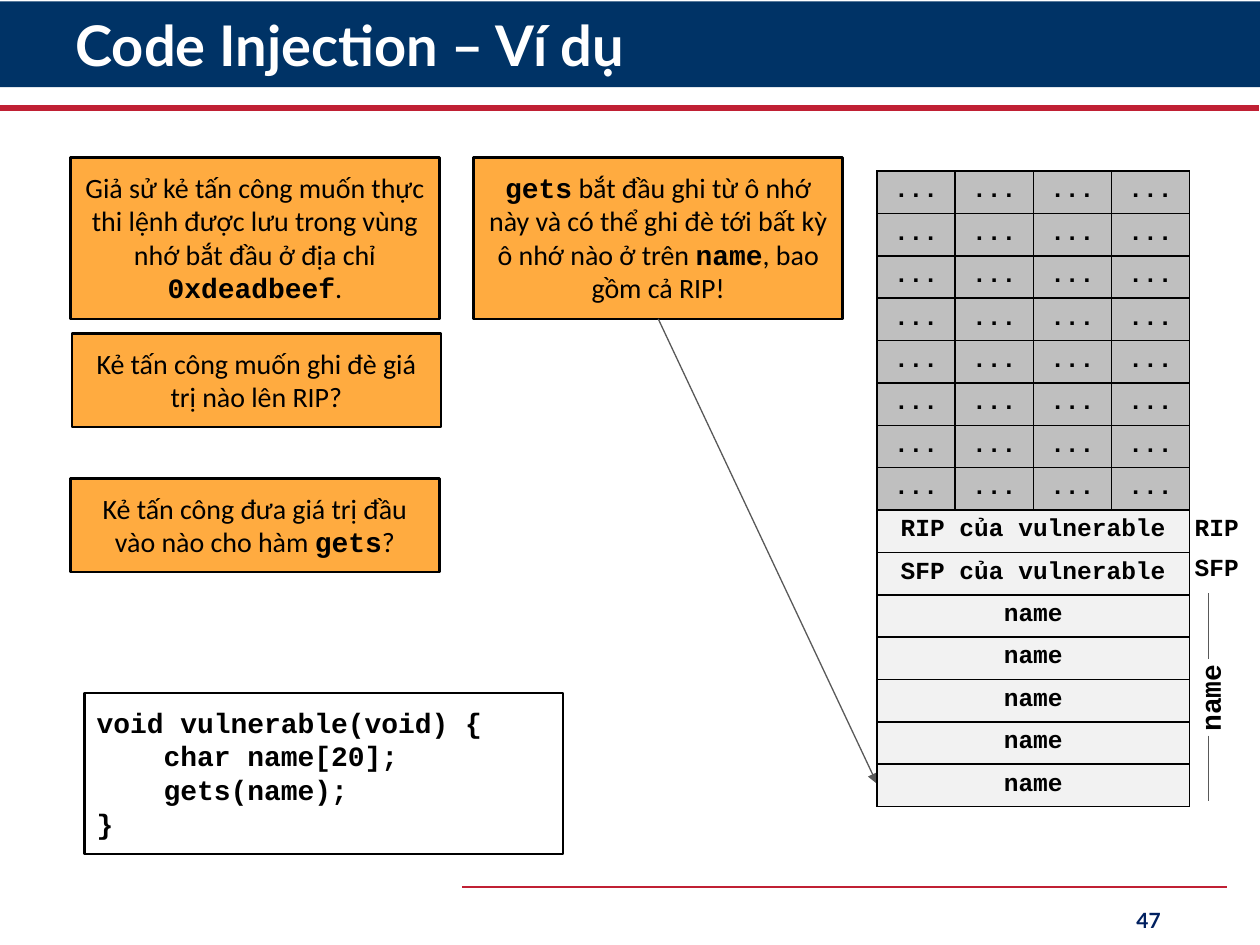
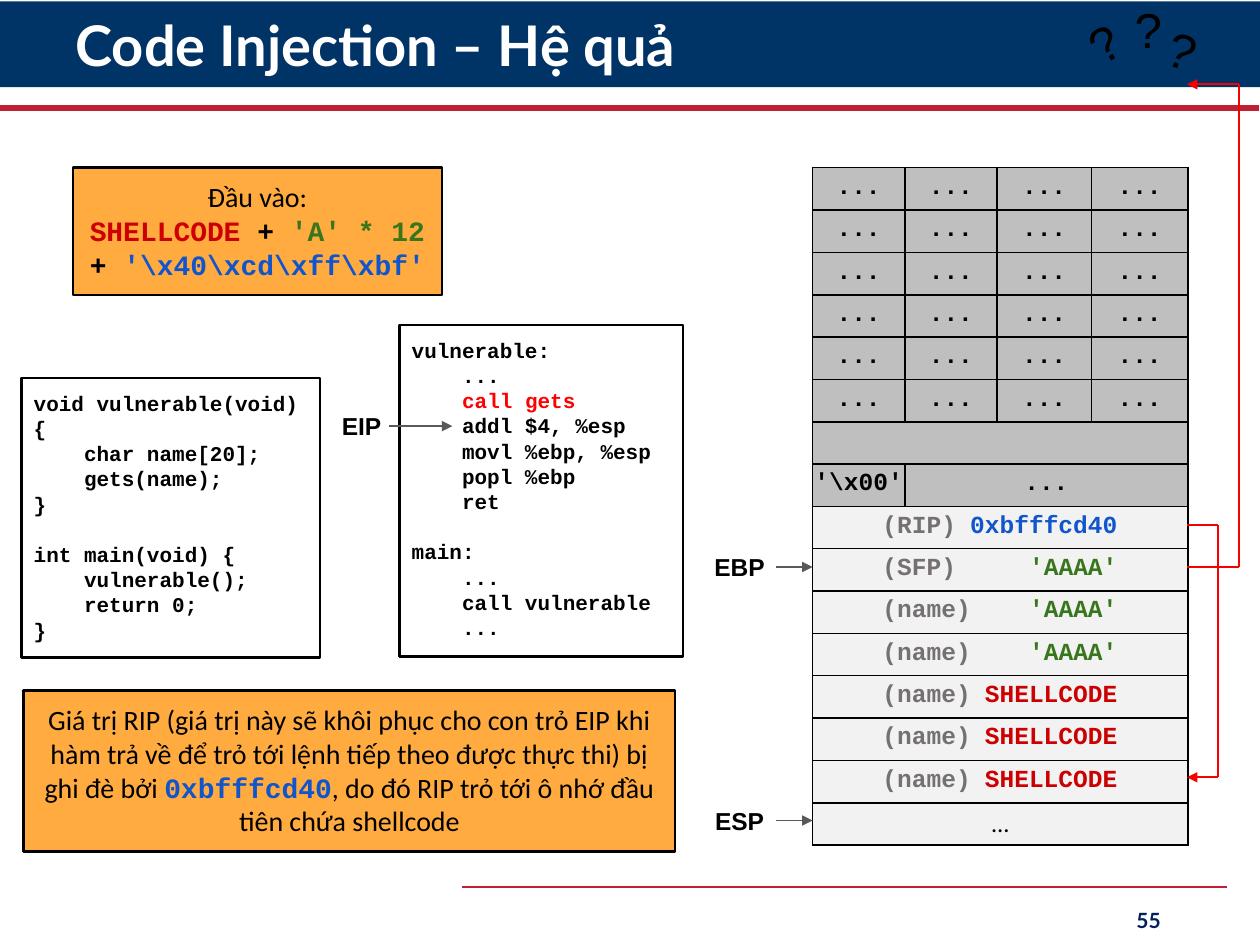
from dataclasses import dataclass
from itertools import pairwise

from lxml import etree
from pptx import Presentation
from pptx.dml.color import RGBColor
from pptx.enum.shapes import MSO_CONNECTOR, MSO_SHAPE
from pptx.enum.text import MSO_ANCHOR, PP_ALIGN
from pptx.oxml.ns import qn
from pptx.util import Cm, Pt

LEFT, MID, RIGHT = PP_ALIGN.LEFT, PP_ALIGN.CENTER, PP_ALIGN.RIGHT
TOP, CENTER = MSO_ANCHOR.TOP, MSO_ANCHOR.MIDDLE
RECT, STRAIGHT = MSO_SHAPE.RECTANGLE, MSO_CONNECTOR.STRAIGHT


@dataclass(frozen=True)
class Theme:
    navy: str = "003366"
    crimson: str = "C02034"
    ink: str = "000000"
    white: str = "FFFFFF"
    page: str = "002060"
    orange: str = "FFAB40"
    dark: str = "BFBFBF"
    pale: str = "F2F2F2"
    gray: str = "595959"
    dim: str = "767171"
    red: str = "CC0000"
    hot: str = "FF0000"
    wire: str = "F60000"
    green: str = "38761D"
    blue: str = "1155CC"
    head: str = "Lato"
    body: str = "Calibri"
    mono: str = "Courier New"
    sans: str = "Arial"
    title: int = 32
    mark: int = 28
    text: int = 16
    cell: int = 14
    small: int = 12


T = Theme()
WIDE = 7.44
DOTS = [["..."]] * 4

STORY = [
    ((1.42, 3.18, WIDE, 3.25), [[
        "Giả sử kẻ tấn công muốn thực thi lệnh được lưu trong vùng nhớ bắt đầu ở địa chỉ ",
        ("0xdeadbeef", T.ink), "."]]),
    ((1.45, 6.73, WIDE, 1.88), [["Kẻ tấn công muốn ghi đè giá trị nào lên RIP?"]]),
    ((1.42, 9.65, WIDE, 1.88), [[
        "Kẻ tấn công đưa giá trị đầu vào nào cho hàm ", ("gets", T.ink), "?"]]),
    ((9.55, 3.18, WIDE, 3.25), [[
        ("gets", T.ink), " bắt đầu ghi từ ô nhớ này và có thể ghi đè tới bất kỳ ô nhớ nào ở trên ",
        ("name", T.ink), ", bao gồm cả RIP!"]]),
]
FUNC = ["void vulnerable(void) {", "    char name[20];", "    gets(name);", "}"]
STACK = [DOTS] * 8 + [[["RIP của vulnerable"]], [["SFP của vulnerable"]]] + [[["name"]]] * 5
SIDE = [("RIP", 10.08), ("SFP", 10.87)]

MAIN = ["", "int main(void) {", "    vulnerable();", "    return 0;", "}"]
ASM = ["vulnerable:", "    ...", ["    ", ("call gets", T.hot)], "    addl $4, %esp",
       "    movl %ebp, %esp", "    popl %ebp", "    ret", "",
       "main:", "    ...", "    call vulnerable", "    ..."]
NOTES = [
    ((1.47, 3.38, WIDE, 2.57), ["Đầu vào:", [
        ("SHELLCODE", T.red), (" + ", T.ink), ("'A' * 12", T.green), (" + ", T.ink),
        (r"'\x40\xcd\xff\xbf'", T.blue)]]),
    ((0.48, 13.92, 13.13, 3.25), [[
        "Giá trị RIP (giá trị này sẽ khôi phục cho con trỏ EIP khi hàm trả về để trỏ tới "
        "lệnh tiếp theo được thực thi) bị ghi đè bởi ",
        ("0xbfffcd40", T.blue), ", do đó RIP trỏ tới ô nhớ đầu tiên chứa shellcode"]]),
]
SLOTS = [("(RIP)", "0xbfffcd40", T.blue), ("(SFP)", "'AAAA'", T.green)]
SLOTS += [("(name)", "'AAAA'", T.green)] * 2 + [("(name)", "SHELLCODE", T.red)] * 3
SMASH = [DOTS] * 6 + [[[]], [[r"'\x00'"], ["..."]]]
SMASH += [[[(tag + "\t", T.dim), (value, shade)]] for tag, value, shade in SLOTS]
SMASH += [[["…"]]]
TAGS = [("EIP", 6.73, 7.85, 8.59, 9.12), ("EBP", 14.17, 15.65, 11.43, 16.38),
        ("ESP", 14.17, 15.65, 16.54, 16.38)]
JUMPS = [[(23.93, 11.43), (24.97, 11.43), (24.97, 1.7), (23.93, 1.7)],
         [(23.93, 10.59), (24.56, 10.59), (24.56, 15.67), (23.93, 15.67)]]
MARKS = [(23.5, 0.43, 19.6), (21.69, 0.31, 328.2), (22.73, 0, 0)]


def rgb(code):
    return RGBColor.from_string(code)


def write(frame, lines, face=T.body, size=T.text, bold=False, color=T.ink, align=LEFT,
          anchor=TOP, inset=(0.25, 0.25), wrap=True, lead=None, tab=None):
    frame.word_wrap = wrap
    frame.vertical_anchor = anchor
    frame.margin_left = frame.margin_right = Cm(inset[0])
    frame.margin_top = frame.margin_bottom = Cm(inset[1])
    fresh, gap = True, False
    for line in lines:
        if line == "":
            gap = True
            continue
        para = frame.paragraphs[0] if fresh else frame.add_paragraph()
        para.alignment = align
        if lead:
            para.line_spacing = lead
        if gap:
            para.space_before = Pt(size * 1.2)
        if tab:
            stops = etree.SubElement(para._p.get_or_add_pPr(), qn("a:tabLst"))
            etree.SubElement(stops, qn("a:tab"), pos=str(Cm(tab)), algn="r")
        for part in [line] if isinstance(line, str) else line:
            code = isinstance(part, tuple)
            words, shade = part if code else (part, color)
            run = para.add_run()
            run.text = words
            run.font.name = T.mono if code else face
            run.font.size = Pt(size)
            run.font.bold = code or bold
            run.font.color.rgb = rgb(shade)
        fresh, gap = False, False


def label(slide, at, words, turn=0, **form):
    box = slide.shapes.add_textbox(*map(Cm, at))
    box.rotation = turn
    write(box.text_frame, [words], **form)
    return box


def panel(slide, at, fill, edge=None):
    box = slide.shapes.add_shape(RECT, *map(Cm, at))
    box.shadow.inherit = False
    box.fill.solid()
    box.fill.fore_color.rgb = rgb(fill)
    if edge:
        box.line.color.rgb = rgb(edge)
        box.line.width = Pt(1.5)
    else:
        box.line.fill.background()
    return box


def note(slide, at, lines):
    box = panel(slide, at, T.orange, T.ink)
    write(box.text_frame, lines, align=MID, lead=Pt(T.text * 1.2))
    return box


def code(slide, at, lines, size):
    box = panel(slide, at, T.white, T.ink)
    write(box.text_frame, lines, face=T.mono, size=size, bold=True, lead=Pt(size * 1.2))


def line(slide, start, end, color=T.gray, width=1, arrow=False, source=None, side=3):
    link = slide.shapes.add_connector(STRAIGHT, *map(Cm, start + end))
    if source is not None:
        link.begin_connect(source, side)
    link.line.color.rgb = rgb(color)
    link.line.width = Pt(width)
    if arrow:
        etree.SubElement(link.line._get_or_add_ln(), qn("a:tailEnd"), type="triangle")
    etree.SubElement(link._element.spPr, qn("a:effectLst"))


def border(cell):
    props = cell._tc.get_or_add_tcPr()
    for side in "LRTB":
        edge = etree.SubElement(props, qn("a:ln" + side), w=str(Pt(1)))
        fill = etree.SubElement(edge, qn("a:solidFill"))
        etree.SubElement(fill, qn("a:srgbClr"), val=T.ink)


def fill_cell(cell, parts):
    tabbed = any("\t" in part[0] for part in parts)
    face = T.body if parts == ["…"] else T.mono
    write(cell, [parts], face=face, size=T.cell, bold=face == T.mono,
          align=LEFT if tabbed else MID, inset=(0, 0.13), wrap=None,
          tab=4.74 if tabbed else None)
    if tabbed:
        cell.margin_left = Cm(1.41)


class Cell:
    def __init__(self, cell):
        self.cell = cell


def memory(slide, left, top, cols, high, rows, dark):
    shape = slide.shapes.add_table(len(rows), len(cols), Cm(left), Cm(top),
                                   Cm(sum(cols)), Cm(high))
    table = shape.table
    table.first_row = table.horz_banding = False
    for col, wide in zip(table.columns, cols):
        col.width = Cm(wide)
    for y, row in enumerate(rows):
        table.rows[y].height = Cm(high / len(rows))
        for x in range(len(cols)):
            cell = table.cell(y, x)
            border(cell)
            cell.fill.solid()
            cell.fill.fore_color.rgb = rgb(T.dark if y < dark else T.pale)
            parts = row[x] if x < len(row) else []
            if parts:
                cell_text(cell, parts)
            else:
                para = cell.text_frame.paragraphs[0]._p
                etree.SubElement(para, qn("a:endParaRPr"), sz=str(T.cell * 100))
        if len(row) < len(cols):
            table.cell(y, len(row) - 1).merge(table.cell(y, len(cols) - 1))


def cell_text(cell, parts):
    tabbed = any("\t" in part[0] for part in parts)
    face = T.body if parts == ["…"] else T.mono
    write(cell.text_frame, [parts], face=face, size=T.cell, bold=face == T.mono,
          align=LEFT if tabbed else MID, tab=4.74 if tabbed else None)
    cell.margin_left = Cm(1.41 if tabbed else 0)
    cell.margin_right = Cm(0)
    cell.margin_top = cell.margin_bottom = Cm(0.13)
    cell.vertical_anchor = TOP


def base(deck, title, page):
    slide = deck.slides.add_slide(deck.slide_layouts[6])
    panel(slide, (0, 0.03, 25.4, 1.73), T.navy)
    line(slide, (0, 2.18), (25.38, 2.18), T.crimson, 3.5)
    line(slide, (9.32, 17.88), (24.74, 17.88), T.crimson, 1.5)
    form = dict(face=T.head, bold=True, anchor=CENTER, inset=(0.25, 0.13))
    label(slide, (1.27, 0.2, 22.38, 1.55), title, size=T.title, color=T.white, lead=0.9, **form)
    label(slide, (17.93, 18.03, 5.72, 1.02), page, size=T.small, color=T.page,
          align=RIGHT, **form)
    return slide


def sample(deck):
    slide = base(deck, "Code Injection – Ví dụ", "47")
    boxes = [note(slide, at, lines) for at, lines in STORY]
    line(slide, (13.27, 6.43), (17.68, 15.8), width=0.75, arrow=True, source=boxes[-1], side=2)
    code(slide, (1.7, 13.97, 9.65, 3.25), FUNC, T.text)
    memory(slide, 17.68, 3.45, [1.575] * 4, 12.7, STACK, 8)
    form = dict(face=T.mono, bold=True, align=MID, wrap=False)
    for words, top in SIDE:
        label(slide, (23.83, top, 1.4, 1.12), words, size=T.cell, **form)
    label(slide, (22.66, 13.51, 3.4, 1.12), "name", turn=270, **form)
    for top in (11.96, 14.83):
        line(slide, (24.36, top), (24.36, top + 1.32), width=0.75)


def effect(deck):
    slide = base(deck, "Code Injection – Hệ quả", "55")
    code(slide, (0.43, 7.62, 6.02, 5.64), FUNC + MAIN, T.small)
    code(slide, (8.05, 6.55, 5.72, 6.68), ASM, T.small)
    for at, lines in NOTES:
        note(slide, at, lines)
    memory(slide, 16.38, 3.38, [1.86, 1.86, 1.9, 1.95], 13.56, SMASH, 8)
    for words, left, right, mid, tip in TAGS:
        box = label(slide, (left, mid - 0.43, right - left, 0.86), words, face=T.sans,
                    size=T.cell, bold=True, align=MID, inset=(0.13, 0.13), wrap=False)
        line(slide, (right, mid), (tip, mid), arrow=True, source=box)
    for jump in JUMPS:
        for start, end in pairwise(jump):
            line(slide, start, end, T.wire, arrow=end == jump[-1])
    for left, top, turn in MARKS:
        label(slide, (left, top, 0.84, 0.66), "?", turn=turn, face=T.sans, size=T.mark,
              align=MID, inset=(0, 0), wrap=False)


def main():
    deck = Presentation()
    deck.slide_width, deck.slide_height = Cm(25.4), Cm(19.05)
    sample(deck)
    effect(deck)
    deck.save("out.pptx")


if __name__ == "__main__":
    main()
